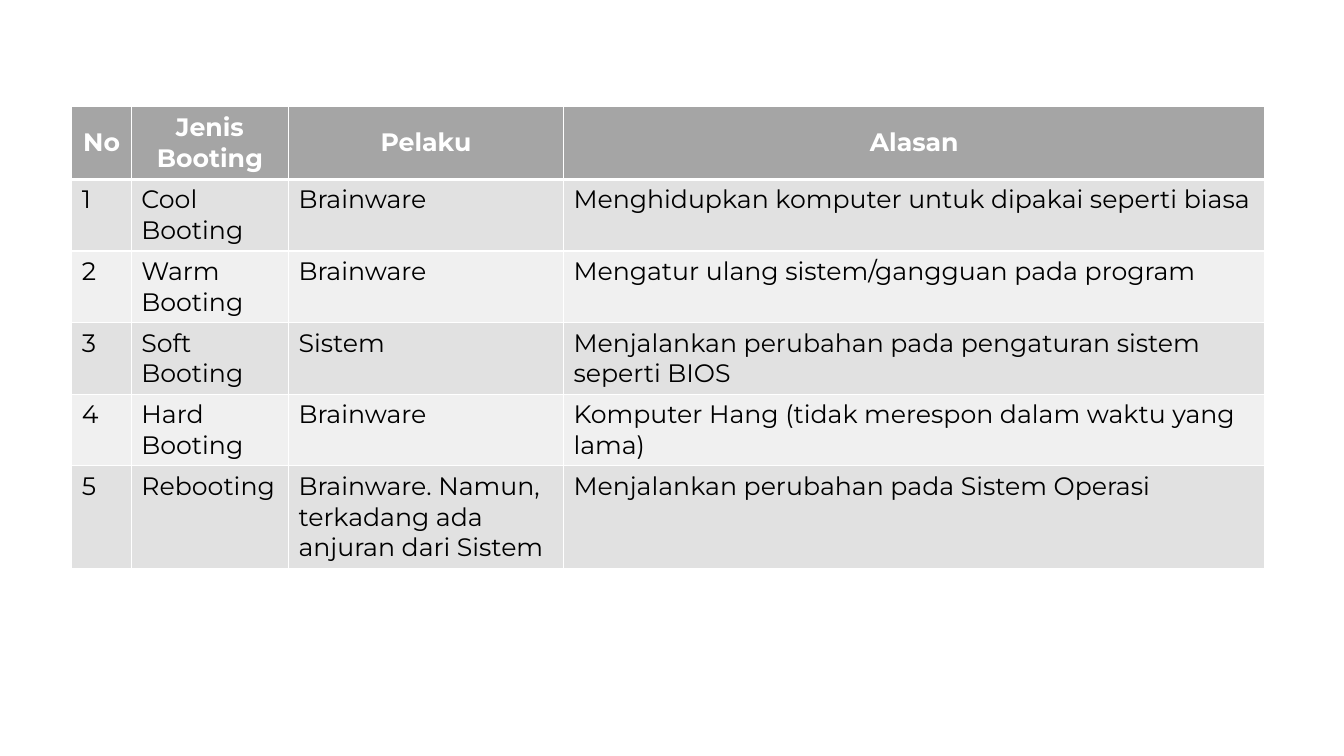
from dataclasses import dataclass

from lxml import etree
from pptx import Presentation
from pptx.dml.color import RGBColor
from pptx.enum import text
from pptx.oxml import ns
from pptx.util import Cm, Pt


@dataclass(frozen=True)
class Theme:
    font: str = "Montserrat"
    size: int = 18
    head: str = "A5A5A5"
    bands: tuple = ("E1E1E1", "F0F0F0")
    light: str = "FFFFFF"
    dark: str = "000000"
    thin: int = 1
    thick: int = 3


THEME = Theme()
COLS = (1.5, 3.96, 6.93, 17.68)
ROWS = (1.85, 1.24, 1.24, 1.24, 1.24, 2.16)
BOOTING = (
    ("No", "Jenis Booting", "Pelaku", "Alasan"),
    ("1", "Cool Booting", "Brainware",
     "Menghidupkan komputer untuk dipakai seperti biasa"),
    ("2", "Warm Booting", "Brainware",
     "Mengatur ulang sistem/gangguan pada program"),
    ("3", "Soft Booting", "Sistem",
     "Menjalankan perubahan pada pengaturan sistem seperti BIOS"),
    ("4", "Hard Booting", "Brainware",
     "Komputer Hang (tidak merespon dalam waktu yang lama)"),
    ("5", "Rebooting", "Brainware. Namun, terkadang ada anjuran dari Sistem",
     "Menjalankan perubahan pada Sistem Operasi"),
)


def set_edges(cell, top, bottom):
    """Rule all four sides; top and bottom are widths in points."""
    props = cell._tc.get_or_add_tcPr()
    widths = {"L": THEME.thin, "R": THEME.thin, "T": top, "B": bottom}
    for spot, (side, width) in enumerate(widths.items()):
        line = etree.Element(ns.qn(f"a:ln{side}"), w=str(Pt(width)))
        fill = etree.SubElement(line, ns.qn("a:solidFill"))
        etree.SubElement(fill, ns.qn("a:srgbClr"), val=THEME.light)
        props.insert(spot, line)


def fill_cell(cell, words, row):
    head = row == 0
    shade = THEME.head if head else THEME.bands[(row - 1) % 2]
    cell.fill.solid()
    cell.fill.fore_color.rgb = RGBColor.from_string(shade)
    set_edges(cell,
              top=THEME.thick if row == 1 else THEME.thin,
              bottom=THEME.thick if head else THEME.thin)
    cell.text_frame.text = words
    para = cell.text_frame.paragraphs[0]
    if head:
        cell.vertical_anchor = text.MSO_ANCHOR.MIDDLE
        para.alignment = text.PP_ALIGN.CENTER
    font = para.runs[0].font
    font.name, font.size, font.bold = THEME.font, Pt(THEME.size), head
    font.color.rgb = RGBColor.from_string(THEME.light if head else THEME.dark)


def add_grid(slide, data, left, top, height):
    frame = slide.shapes.add_table(len(data), len(COLS), Cm(left), Cm(top),
                                   Cm(sum(COLS)), Cm(height))
    grid = frame.table
    for col, width in zip(grid.columns, COLS):
        col.width = Cm(width)
    for row, size in zip(grid.rows, ROWS):
        row.height = Cm(size)
    frame.height = Cm(height)
    for row, line in enumerate(data):
        for col, words in enumerate(line):
            fill_cell(grid.cell(row, col), words, row)


def main():
    deck = Presentation()
    deck.slide_width, deck.slide_height = Cm(33.87), Cm(19.05)
    slide = deck.slides.add_slide(deck.slide_layouts[6])
    add_grid(slide, BOOTING, left=1.81, top=2.67, height=11.51)
    deck.save("out.pptx")


if __name__ == "__main__":
    main()
